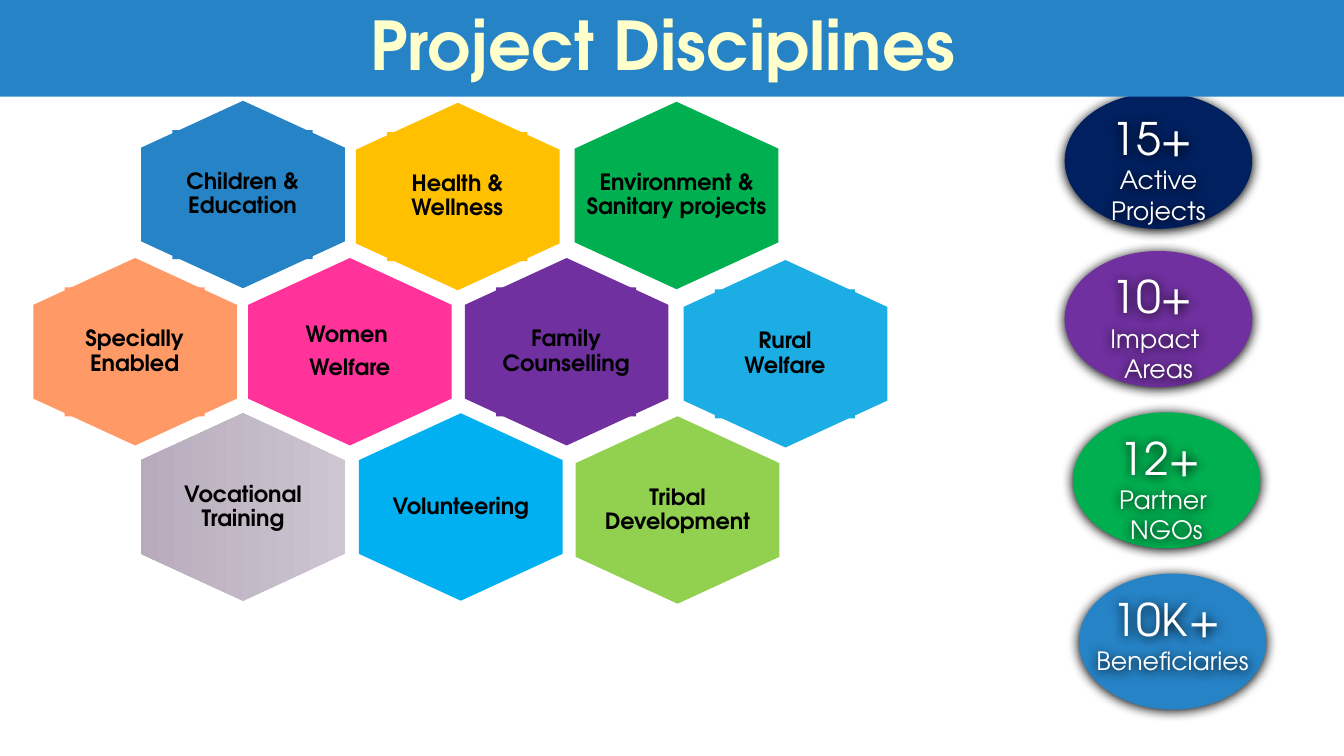
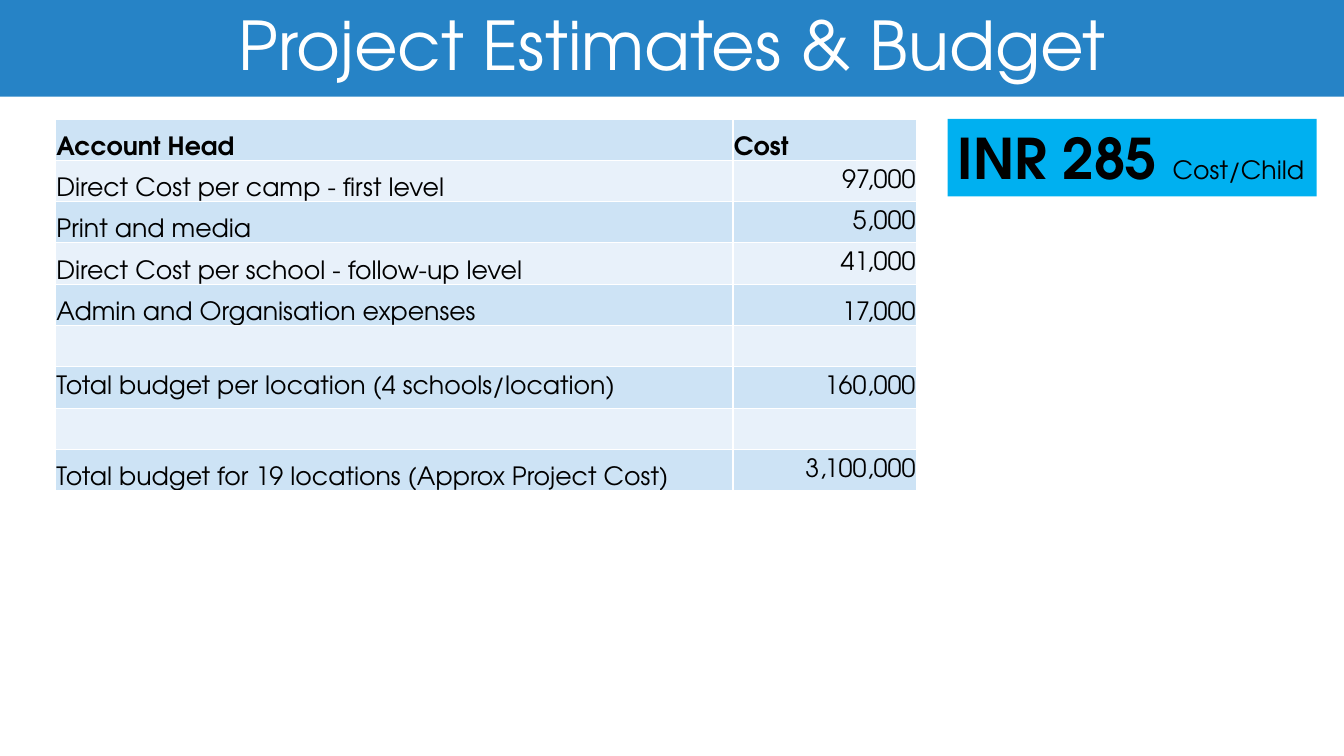
from lxml import etree
from pptx import Presentation, util as u
from pptx.dml.color import RGBColor
from pptx.enum import shapes, text
from pptx.oxml import ns

PX = 9144
FONT = "TeX Gyre Adventor"
BLACK = RGBColor(0x00, 0x00, 0x00)
WHITE = RGBColor(0xFF, 0xFF, 0xFF)
CREAM = RGBColor(0xFF, 0xFF, 0xCC)
BLUE = RGBColor(0x26, 0x83, 0xC6)
SKY = RGBColor(0x00, 0xB0, 0xF0)
AZURE = RGBColor(0x1C, 0xAD, 0xE4)
NAVY = RGBColor(0x00, 0x20, 0x60)
PURPLE = RGBColor(0x70, 0x30, 0xA0)
GREEN = RGBColor(0x00, 0xB0, 0x50)
LIME = RGBColor(0x92, 0xD0, 0x50)
AMBER = RGBColor(0xFF, 0xC0, 0x00)
PINK = RGBColor(0xFF, 0x33, 0x99)
PEACH = RGBColor(0xFF, 0x99, 0x66)
MAUVE = [RGBColor(0xCD, 0xC5, 0xD0), RGBColor(0xB8, 0xAC, 0xBC)]
BANDS = [RGBColor(0xCD, 0xE3, 0xF5), RGBColor(0xE8, 0xF1, 0xFA)]

SHAPE = shapes.MSO_SHAPE
TOP, MIDDLE, BOTTOM = (text.MSO_ANCHOR.TOP, text.MSO_ANCHOR.MIDDLE,
                       text.MSO_ANCHOR.BOTTOM)
LEFT, CENTER, RIGHT = (text.PP_ALIGN.LEFT, text.PP_ALIGN.CENTER,
                       text.PP_ALIGN.RIGHT)

DISCIPLINES = [
    (["Children & Education"], 148, 92, BLUE, True),
    (["Health & Wellness"], 361, 94, AMBER, True),
    (["Women ", "Welfare"], 254, 248, PINK, False),
    (["Family Counselling"], 469, 248, PURPLE, True),
    (["Vocational Training"], 148, 402, MAUVE, False),
    (["Volunteering"], 364, 402, SKY, False),
    (["Specially Enabled"], 41, 248, PEACH, True),
    (["Environment & Sanitary projects"], 578, 93, GREEN, False),
    (["Tribal Development"], 579, 405, LIME, False),
    (["Rural Welfare"], 686, 250, AZURE, True),
]

STATS = [
    ("15+ ", ["Active Projects"], 1056, 92, NAVY),
    ("10+ ", ["Impact ", "Areas"], 1056, 249, PURPLE),
    ("12+ ", ["Partner ", "NGOs"], 1064, 409, GREEN),
    ("10K+ ", ["Beneficiaries"], 1070, 569, BLUE),
]

BUDGET = [
    ("Account Head", "Cost", BOTTOM, BOTTOM),
    ("Direct Cost per camp - first level", "97,000", BOTTOM, MIDDLE),
    ("Print and media", "5,000", BOTTOM, MIDDLE),
    ("Direct Cost per school - follow-up level", "41,000", BOTTOM, MIDDLE),
    ("Admin and Organisation expenses", "17,000", BOTTOM, BOTTOM),
    ("", "", MIDDLE, MIDDLE),
    ("Total budget per location (4 schools/location)", "160,000", MIDDLE, MIDDLE),
    ("", "", MIDDLE, MIDDLE),
    ("Total budget for 19 locations (Approx Project Cost)", "3,100,000",
     BOTTOM, MIDDLE),
]


def write(frame, words, size=18, color=BLACK, bold=False, align=LEFT,
          spacing=None, after=0, same_line=False):
    paragraph = frame.paragraphs[-1]
    if paragraph.runs and not same_line:
        paragraph = frame.add_paragraph()
    paragraph.alignment = align
    paragraph.line_spacing = spacing
    paragraph.space_after = u.Pt(after)
    run = paragraph.add_run()
    run.text = words
    run.font.name = FONT
    run.font.size = u.Pt(size)
    run.font.bold = bold
    run.font.color.rgb = color


class Deck:
    def __init__(self):
        self.show = Presentation()
        self.show.slide_width = 1333 * PX
        self.show.slide_height = 750 * PX
        self.slide = None

    def new_slide(self):
        self.slide = self.show.slides.add_slide(self.show.slide_layouts[6])

    def shape(self, preset, left, top, width, height, fill):
        shape = self.slide.shapes.add_shape(
            preset, left * PX, top * PX, width * PX, height * PX)
        shape.shadow.inherit = False
        shape.line.fill.background()
        if isinstance(fill, list):
            shape.fill.gradient()
            shape.fill.gradient_angle = 270
            for stop, color in zip(shape.fill.gradient_stops, fill):
                stop.color.rgb = color
        else:
            shape.fill.solid()
            shape.fill.fore_color.rgb = fill
        return shape

    def text_box(self, left, top, width, height):
        return self.slide.shapes.add_textbox(
            left * PX, top * PX, width * PX, height * PX)

    def frame(self, shape, anchor=TOP, inset=None, wrap=True):
        frame = shape.text_frame
        frame.word_wrap = wrap
        frame.vertical_anchor = anchor
        if inset is not None:
            frame.margin_left = frame.margin_right = inset * PX
            frame.margin_top = frame.margin_bottom = inset * PX
        return frame

    def soft_shadow(self, shape):
        shape.shadow.inherit = False
        effects = shape._element.spPr.find(ns.qn("a:effectLst"))
        shadow = etree.SubElement(
            effects, ns.qn("a:outerShdw"), blurRad=str(int(u.Pt(8.5))),
            dist=str(int(u.Pt(1))), dir="5400000", algn="ctr", rotWithShape="0")
        etree.SubElement(shadow, ns.qn("a:srgbClr"), val=str(BLACK))

    def title(self, words, color, bold=False):
        band = self.shape(SHAPE.RECTANGLE, 0, 0, 1333, 96, BLUE)
        write(self.frame(band, MIDDLE), words, size=48, color=color, bold=bold,
              align=CENTER, spacing=0.9)

    def discipline(self, lines, left, top, fill, plated):
        hexagon = self.shape(SHAPE.HEXAGON, left, top, 186, 202, fill)
        hexagon.adjustments[0] = 0.25
        hexagon.rotation = 90
        width = 139 if plated else 188
        place = (left + (186 - width) // 2, top + 37, width, 128)
        label = (self.shape(SHAPE.RECTANGLE, *place, fill) if plated
                 else self.text_box(*place))
        frame = self.frame(label, MIDDLE, inset=0)
        for line in lines:
            write(frame, line, size=16, bold=True, align=CENTER, spacing=0.9,
                  after=6)

    def stat(self, figure, lines, left, top, fill):
        self.soft_shadow(self.shape(SHAPE.OVAL, left, top, 186, 135, fill))
        caption = self.text_box(left, top + 13, 186, 155)
        self.soft_shadow(caption)
        frame = self.frame(caption)
        write(frame, figure, size=32, color=WHITE, align=CENTER)
        for line in lines:
            write(frame, line, color=WHITE, align=CENTER)

    def cell(self, cell, words, anchor, fill, **style):
        cell.margin_left = cell.margin_right = cell.margin_top = PX
        cell.margin_bottom = 0
        cell.vertical_anchor = anchor
        properties = cell._tc.get_or_add_tcPr()
        for side in ("lnL", "lnR", "lnT", "lnB"):
            border = etree.SubElement(
                properties, ns.qn("a:" + side), w=str(int(u.Pt(1))))
            paint = etree.SubElement(border, ns.qn("a:solidFill"))
            etree.SubElement(paint, ns.qn("a:srgbClr"), val=str(WHITE))
        cell.fill.solid()
        cell.fill.fore_color.rgb = fill
        if words:
            write(cell.text_frame, words, **style)

    def budget(self, rows, left, top, widths, row_height):
        table = self.slide.shapes.add_table(
            len(rows), len(widths), left * PX, top * PX,
            sum(widths) * PX, len(rows) * row_height * PX).table
        table.first_row = table.horz_banding = False
        for column, width in zip(table.columns, widths):
            column.width = width * PX
        for index, (head, cost, head_anchor, cost_anchor) in enumerate(rows):
            header = index == 0
            fill = BANDS[index % 2]
            self.cell(table.cell(index, 0), head, head_anchor, fill, bold=header)
            self.cell(table.cell(index, 1), cost, cost_anchor, fill, bold=header,
                      align=LEFT if header else RIGHT)

    def unit_cost(self, amount, unit):
        panel = self.shape(SHAPE.RECTANGLE, 940, 118, 366, 77, SKY)
        frame = self.frame(panel, wrap=False)
        write(frame, amount, size=40, bold=True)
        write(frame, unit, same_line=True)


def main():
    deck = Deck()

    deck.new_slide()
    for discipline in DISCIPLINES:
        deck.discipline(*discipline)
    for stat in STATS:
        deck.stat(*stat)
    deck.title("Project Disciplines ", CREAM, bold=True)

    deck.new_slide()
    deck.title("Project Estimates & Budget", WHITE)
    deck.budget(BUDGET, 55, 118, (672, 182), 41)
    deck.unit_cost("INR 285 ", "Cost/Child")

    deck.show.save("out.pptx")


if __name__ == "__main__":
    main()
